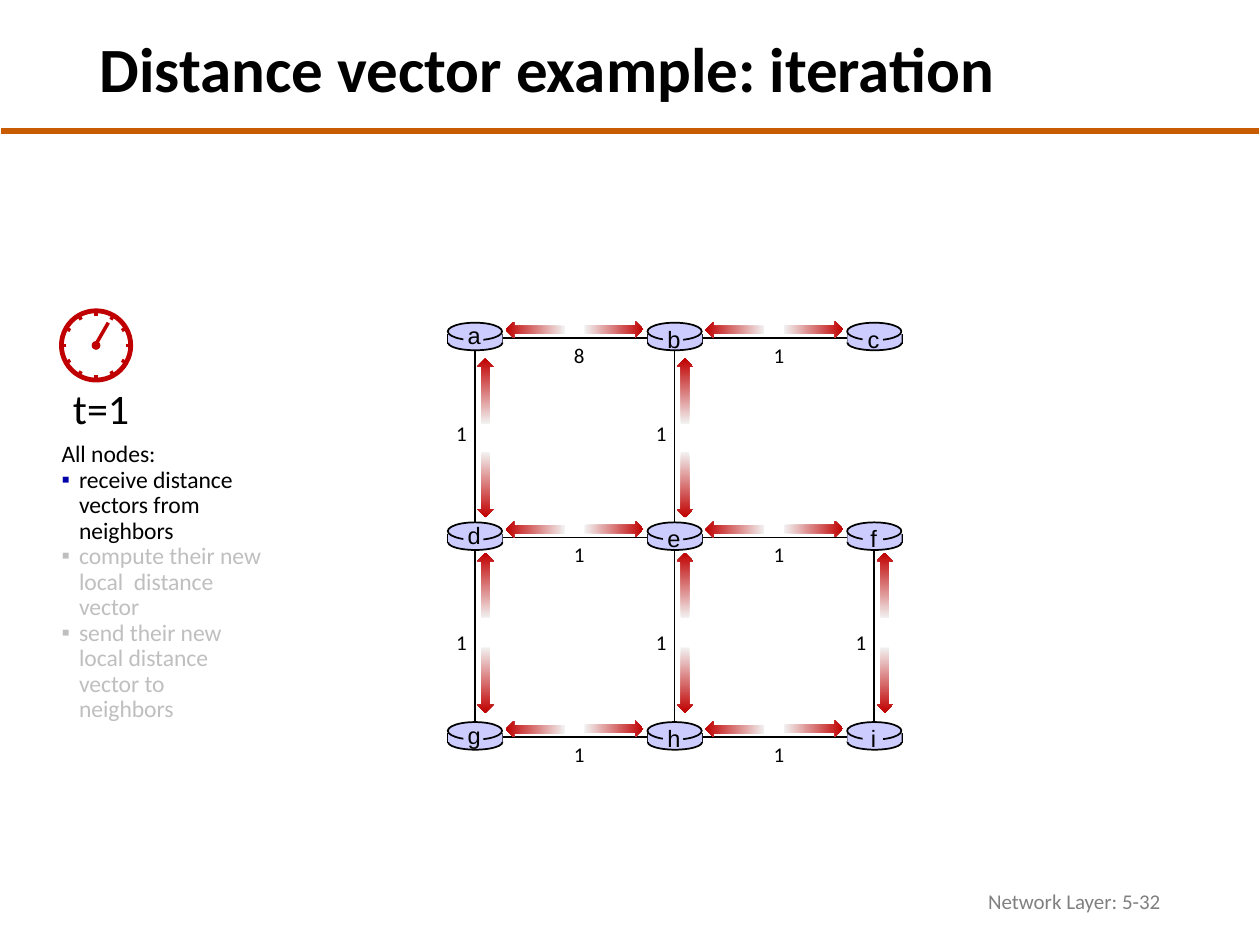
from math import cos, sin, radians
from lxml import etree
from pptx import Presentation
from pptx.dml.color import RGBColor
from pptx.enum.shapes import MSO_CONNECTOR as Link, MSO_SHAPE as Form
from pptx.enum.text import MSO_ANCHOR as Anchor, PP_ALIGN as Align
from pptx.oxml.ns import qn
from pptx.util import Pt

BLACK = RGBColor(0x00, 0x00, 0x00)
GRAY = RGBColor(0x80, 0x80, 0x80)
PALE = RGBColor(0xBF, 0xBF, 0xBF)
NAVY = RGBColor(0x00, 0x00, 0xA8)
RED = RGBColor(0xC0, 0x00, 0x00)
MIST = RGBColor(0xF2, 0xF2, 0xF2)
LILAC = RGBColor(0xCC, 0xCC, 0xFF)
RUST = RGBColor(0xC9, 0x5B, 0x00)

PITCH = 114.1
COLS = [271.4 + PITCH * n for n in range(3)]
ROWS = [193 + PITCH * n for n in range(3)]
NODES = ["abc", "def", "ghi"]
ACROSS = ["81", "11", "11"]
DOWN = ["11", "111"]
STEPS = [
    ("receive distance vectors from neighbors", BLACK, NAVY),
    ("compute their new local  distance vector", PALE, PALE),
    ("send their new local distance vector to neighbors", PALE, PALE),
]


def apply(item, vals):
    for name, val in vals.items():
        setattr(item, name, val)


def write(para, words, size, color=BLACK, face="Calibri", bold=False, **form):
    apply(para, form)
    run = para.add_run()
    run.text = words
    apply(run.font, {"size": Pt(size), "name": face, "bold": bold})
    run.font.color.rgb = color


def frame(slide, x, y, w, h, wrap=False, anchor=Anchor.TOP):
    text = slide.shapes.add_textbox(Pt(x), Pt(y), Pt(w), Pt(h)).text_frame
    apply(text, {"word_wrap": wrap, "vertical_anchor": anchor})
    return text


def label(slide, words, x, y, w, h, size, **form):
    write(frame(slide, x, y, w, h).paragraphs[0], words, size, **form)


def line(slide, x1, y1, x2, y2, color=BLACK, width=1):
    link = slide.shapes.add_connector(Link.STRAIGHT, Pt(x1), Pt(y1), Pt(x2), Pt(y2))
    link.line.color.rgb = color
    link.line.width = Pt(width)
    etree.SubElement(link._element.spPr, qn("a:effectLst"))


def shape(slide, kind, x, y, w, h, fill=None, edge=None, width=1):
    item = slide.shapes.add_shape(kind, Pt(x), Pt(y), Pt(w), Pt(h))
    item.shadow.inherit = False
    if fill is None:
        item.fill.background()
    else:
        item.fill.solid()
        item.fill.fore_color.rgb = fill
    if edge is None:
        item.line.fill.background()
    else:
        item.line.color.rgb = edge
        item.line.width = Pt(width)
    return item


def arrow(slide, x, y, size, turn):
    item = shape(slide, Form.RIGHT_ARROW, x - size / 2, y - 4.7, size, 9.4)
    item.rotation = turn
    item.fill.gradient()
    item.fill.gradient_angle = 0
    for stop, color in zip(item.fill.gradient_stops, (MIST, RED)):
        stop.color.rgb = color


def bullet(para, color):
    props = para._p.get_or_add_pPr()
    props.set("marL", str(Pt(10)))
    props.set("indent", str(Pt(-10)))
    tint = etree.SubElement(props, qn("a:buClr"))
    etree.SubElement(tint, qn("a:srgbClr"), val=str(color))
    etree.SubElement(props, qn("a:buFont"), typeface="Arial")
    etree.SubElement(props, qn("a:buChar"), char="▪")


def title(slide):
    head = slide.shapes.title
    apply(head, {"left": Pt(49.7), "top": Pt(10.8), "width": Pt(571), "height": Pt(61.2)})
    text = head.text_frame
    apply(text, {"word_wrap": True, "vertical_anchor": Anchor.MIDDLE})
    write(text.paragraphs[0], "Distance vector example: iteration", 36,
          bold=True, alignment=Align.LEFT, line_spacing=0.9)


def footer(slide):
    text = frame(slide, 508.3, 500.4, 162, 28.8, True, Anchor.MIDDLE)
    write(text.paragraphs[0], "Network Layer: 5-32", 12, GRAY, alignment=Align.RIGHT)


def steps(slide):
    text = frame(slide, 28.1, 249.1, 129.6, 169.2, True)
    write(text.paragraphs[0], "All nodes:", 13.5, line_spacing=0.9)
    for words, color, mark in STEPS:
        para = text.add_paragraph()
        bullet(para, mark)
        write(para, words, 13.5, color, line_spacing=0.9)


def clock(slide, x, y):
    shape(slide, Form.OVAL, x - 19.8, y - 19.8, 39.6, 39.6, edge=RED, width=2.75)
    for turn in range(0, 360, 30):
        dx, dy = cos(radians(turn)), sin(radians(turn))
        line(slide, x + 17 * dx, y + 17 * dy, x + 20 * dx, y + 20 * dy, RED, 2)
    shape(slide, Form.OVAL, x - 2.5, y - 2.5, 5, 5, RED)
    line(slide, x + 7, y - 13, x - 0.9, y + 0.7, RED, 2)
    label(slide, "t=1", 34.6, 215.3, 46.8, 36, 24)


def router(slide, name, x, y, rise):
    left, right = x - 15.3, x + 15.7
    shape(slide, Form.OVAL, left, y - 1.4, 31, 8.6, LILAC, BLACK)
    for side in (left, right):
        line(slide, side, y - 2.2, side, y + 3.4)
    shape(slide, Form.RECTANGLE, left, y - 2.2, 31, 5, LILAC)
    shape(slide, Form.OVAL, left - 0.2, y - 8.6, 31, 10, LILAC, BLACK)
    shape(slide, Form.RECTANGLE, x - 6.6, y - 5.8, 11.5, 10.8, LILAC)
    label(slide, name, x - 11.6, y - rise, 22.3, 23.8, 13.5,
          face="Arial", alignment=Align.CENTER)


def edges(slide):
    for y, costs in zip(ROWS, ACROSS):
        for x, cost in zip(COLS, costs):
            line(slide, x, y, x + PITCH, y)
            label(slide, cost, x + 49.5, y - 1, 20.8, 21.6, 12)
    for y, top, costs in zip(ROWS, (236.5, 356.4), DOWN):
        for x, cost in zip(COLS, costs):
            line(slide, x, y, x, y + PITCH)
            label(slide, cost, x - 17.8, top, 20.8, 21.6, 12)


def arrows(slide):
    for y in ROWS:
        for x in COLS[:2]:
            arrow(slide, x + 34.5, y - 4.5, 33.8, 180)
            arrow(slide, x + 79.4, y - 4.8, 33.8, 0)
    for y, near, far, costs in zip(ROWS, (30.5, 27.5), (84, 81.5), DOWN):
        for x, _ in zip(COLS, costs):
            arrow(slide, x + 6, y + near, 37.4, 270)
            arrow(slide, x + 6, y + far, 37.4, 90)


def main():
    deck = Presentation()
    apply(deck, {"slide_width": Pt(720), "slide_height": Pt(540)})
    slide = deck.slides.add_slide(deck.slide_layouts[5])
    line(slide, 0.7, 74.9, 719.3, 74.9, RUST, 3)
    title(slide)
    footer(slide)
    steps(slide)
    clock(slide, 54.9, 197.4)
    edges(slide)
    for y, names in zip(ROWS, NODES):
        for x, name in zip(COLS, names):
            router(slide, name, x, y, 13 if x == COLS[0] else 11)
    arrows(slide)
    deck.save("out.pptx")


if __name__ == "__main__":
    main()
